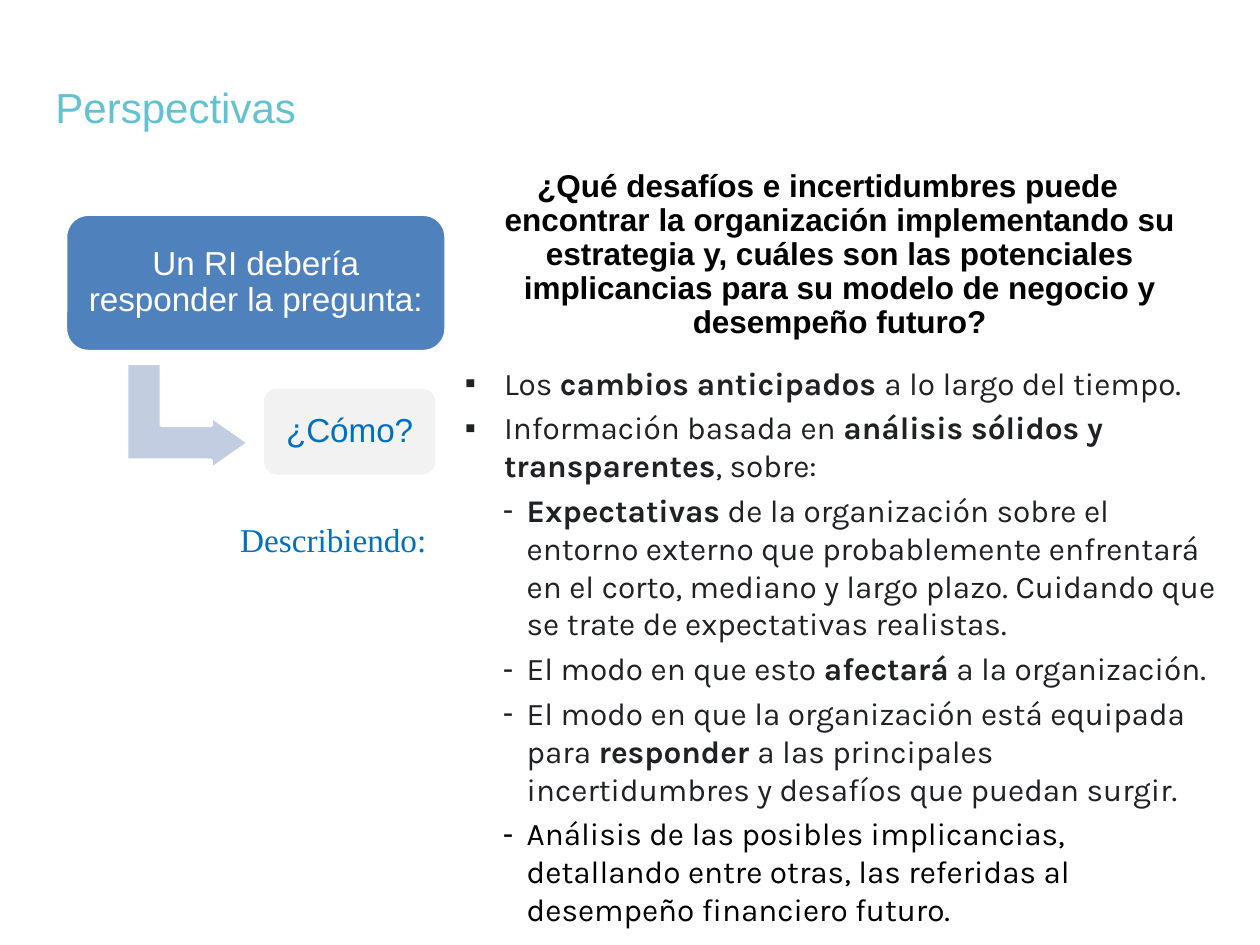
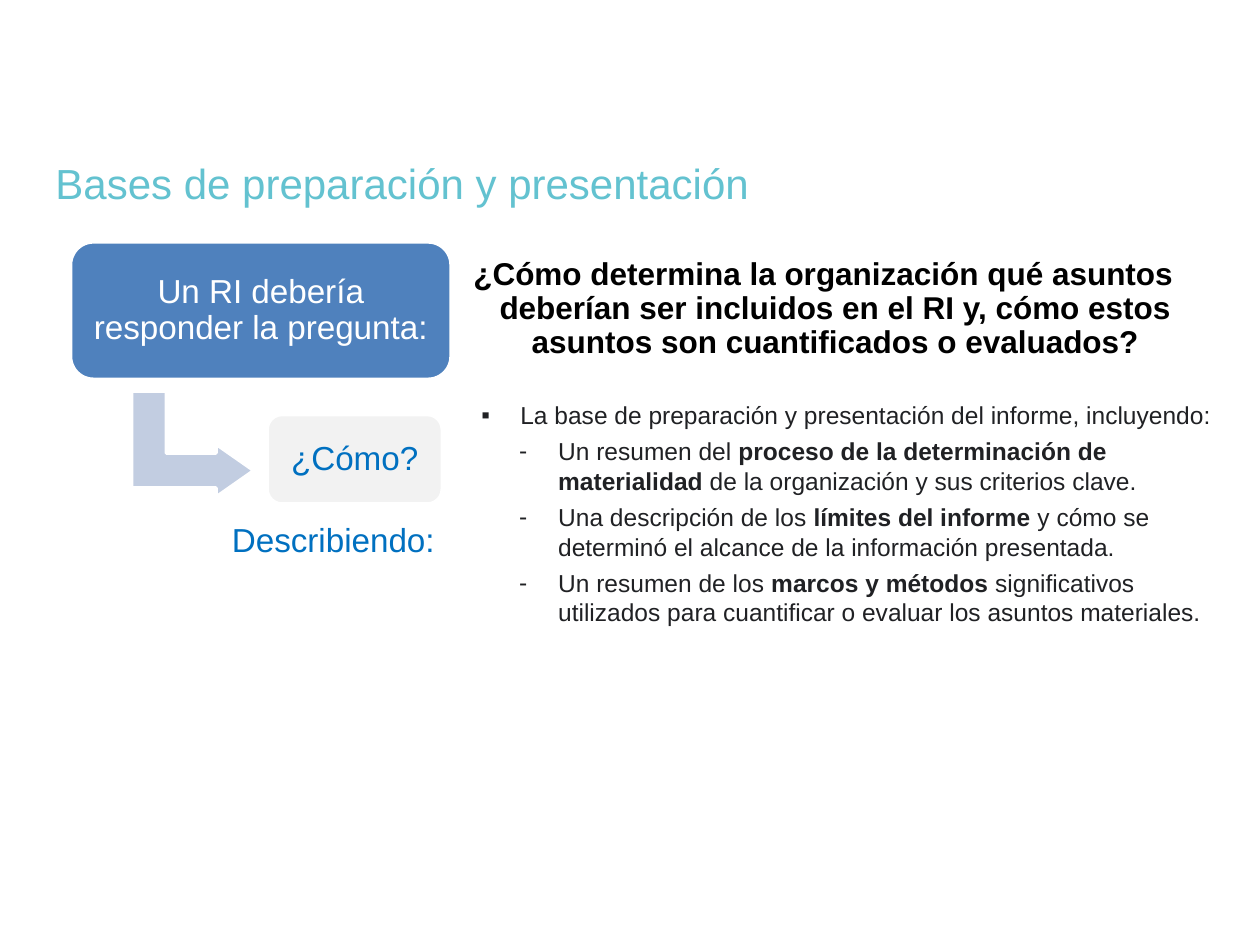
from dataclasses import dataclass

from lxml import etree
from pptx import Presentation
from pptx.dml.color import RGBColor
from pptx.enum.shapes import MSO_SHAPE
from pptx.enum.text import MSO_ANCHOR, MSO_AUTO_SIZE, PP_ALIGN
from pptx.oxml.ns import qn
from pptx.util import Inches, Pt

ROUNDED = MSO_SHAPE.ROUNDED_RECTANGLE
BENT_ARROW = MSO_SHAPE.BENT_UP_ARROW
TOP, MIDDLE = MSO_ANCHOR.TOP, MSO_ANCHOR.MIDDLE
LEFT, CENTER = PP_ALIGN.LEFT, PP_ALIGN.CENTER
NO_FIT = MSO_AUTO_SIZE.NONE


@dataclass(frozen=True)
class Theme:
    title: str = "63C2D0"
    card: str = "4F81BD"
    arrow: str = "C2CDE1"
    pale: str = "F2F2F2"
    accent: str = "0070C0"
    white: str = "FFFFFF"
    black: str = "000000"
    body: str = "202124"
    font: str = "Arial"
    title_size: int = 24
    label_size: int = 19
    question_size: int = 18


THEME = Theme()


# Text helpers
def add_span(para, text, size, color, font=THEME.font, bold=False):
    span = para.add_run()
    span.text = text
    span.font.name = font
    span.font.size = Pt(size)
    span.font.bold = bold
    span.font.color.rgb = RGBColor.from_string(color)


def add_marked_text(para, text, size, color, font):
    """Text between double asterisks becomes bold."""
    for index, part in enumerate(text.split("**")):
        if part:
            add_span(para, part, size, color, font, bold=index % 2 == 1)


def set_frame(frame, inset_x, inset_y, anchor):
    frame.word_wrap = True
    frame.auto_size = NO_FIT
    frame.vertical_anchor = anchor
    frame.margin_left = frame.margin_right = Inches(inset_x)
    frame.margin_top = frame.margin_bottom = Inches(inset_y)


def set_indent(para, margin, hanging):
    properties = para._p.get_or_add_pPr()
    properties.set("marL", str(Inches(margin)))
    properties.set("indent", str(-Inches(hanging)))
    return properties


def place(shape, left, top, width, height):
    shape.left, shape.top = Inches(left), Inches(top)
    shape.width, shape.height = Inches(width), Inches(height)


# Slide elements
def add_title(page, text, top):
    title = page.shapes.title
    place(title, 0.34, top, 9.13, 0.85)
    set_frame(title.text_frame, 0.1, 0.05, TOP)
    para = title.text_frame.paragraphs[0]
    para.alignment = LEFT
    add_span(para, text, THEME.title_size, THEME.title)


def add_block(page, preset, area, fill):
    block = page.shapes.add_shape(preset, *map(Inches, area))
    block.shadow.inherit = False
    block.fill.solid()
    block.fill.fore_color.rgb = RGBColor.from_string(fill)
    block.line.color.rgb = RGBColor.from_string(THEME.white)
    block.line.width = Pt(2)
    return block


def add_card(page, area, fill, text, color):
    card = add_block(page, ROUNDED, area, fill)
    set_frame(card.text_frame, 0.08, 0.08, MIDDLE)
    para = card.text_frame.paragraphs[0]
    para.alignment = CENTER
    para.line_spacing = 0.9
    add_span(para, text, THEME.label_size, color)


def add_diagram(page, left, top):
    arrow = add_block(page, BENT_ARROW, (left + 0.55, top + 1.12, 0.84, 0.97), THEME.arrow)
    arrow.rotation = 90
    for index, value in enumerate((0.328, 0.25, 0.358)):
        arrow.adjustments[index] = value
    add_card(page, (left, top, 3.02, 1.09), THEME.card,
             "Un RI debería responder la pregunta:", THEME.white)
    add_card(page, (left + 1.56, top + 1.37, 1.39, 0.71), THEME.pale,
             "¿Cómo?", THEME.accent)


def add_question(page, area, text):
    box = page.shapes.add_textbox(*map(Inches, area))
    set_frame(box.text_frame, 0.07, 0.07, TOP)
    para = box.text_frame.paragraphs[0]
    para.alignment = CENTER
    para.line_spacing = 0.9
    set_indent(para, 0.19, 0.19)
    add_span(para, text, THEME.question_size, THEME.black, bold=True)


def add_describing_label(page, font):
    box = page.shapes.add_textbox(*map(Inches, (1.72, 4.07, 1.85, 0.42)))
    set_frame(box.text_frame, 0.1, 0.05, TOP)
    para = box.text_frame.paragraphs[0]
    para.alignment = CENTER
    add_span(para, "Describiendo:", THEME.label_size, THEME.accent, font)


def add_list(page, area, items, size, font, dash_indent):
    """Items are (bullet, text, colour); dash_indent is (margin, hanging)."""
    body = page.placeholders[1]
    place(body, *area)
    frame = body.text_frame
    set_frame(frame, 0, 0, MIDDLE)
    for index, (bullet, text, color) in enumerate(items):
        para = frame.add_paragraph() if index else frame.paragraphs[0]
        para.alignment = LEFT
        para.space_before = Pt(4 if index else 0)
        indent = dash_indent if bullet == "-" else (0.31, 0.31)
        properties = set_indent(para, *indent)
        etree.SubElement(properties, qn("a:buChar")).set("char", bullet)
        add_marked_text(para, text, size, color, font)
    return frame


def add_page(deck, title, title_top, diagram_at):
    page = deck.slides.add_slide(deck.slide_layouts[1])
    add_title(page, title, title_top)
    add_diagram(page, *diagram_at)
    return page


# Slides
def build_outlook(deck):
    page = add_page(deck, "Perspectivas", 0.6, (0.52, 1.7))
    add_question(
        page, (3.62, 1.28, 5.9, 1.5),
        "¿Qué desafíos e incertidumbres puede encontrar la organización "
        "implementando su estrategia y, cuáles son las potenciales "
        "implicancias para su modelo de negocio y desempeño futuro?")
    items = [
        ("▪", "Los **cambios anticipados **a lo largo del tiempo.", THEME.body),
        ("▪", "Información basada en **análisis sólidos y transparentes**, sobre:",
         THEME.body),
        ("-", "**Expectativas** de la organización sobre el entorno externo que "
              "probablemente enfrentará en el corto, mediano y largo plazo. "
              "Cuidando que se trate de expectativas realistas.", THEME.body),
        ("-", "El modo en que esto **afectará** a la organización.", THEME.body),
        ("-", "El modo en que la organización está equipada para **responder **"
              "a las principales incertidumbres y desafíos que puedan surgir.",
         THEME.body),
        ("-", "Análisis de las posibles implicancias, detallando entre otras, "
              "las referidas al desempeño financiero futuro.", THEME.black),
    ]
    add_list(page, (3.69, 2.88, 6.02, 4.49), items, 18, "Karla", (0.49, 0.19))
    add_describing_label(page, "Times New Roman")


def build_preparation(deck):
    page = add_page(deck, "Bases de preparación y presentación", 1.2, (0.56, 1.92))
    add_question(
        page, (3.67, 1.98, 5.73, 1),
        "¿Cómo determina la organización qué asuntos deberían ser incluidos "
        "en el RI y, cómo estos asuntos son cuantificados o evaluados?")
    items = [
        ("▪", "La base de preparación y presentación del informe, incluyendo:",
         THEME.body),
        ("-", "Un resumen del **proceso de la determinación de materialidad **"
              "de la organización y sus criterios clave.", THEME.body),
        ("-", "Una descripción de los **límites del informe **y cómo se determinó "
              "el alcance de la información presentada.", THEME.body),
        ("-", "Un resumen de los **marcos y métodos **significativos utilizados "
              "para cuantificar o evaluar los asuntos materiales.", THEME.body),
    ]
    add_list(page, (3.82, 3.18, 6.02, 1.79), items, 14, THEME.font, (0.61, 0.31))
    add_describing_label(page, THEME.font)


def main():
    deck = Presentation()
    deck.slide_width, deck.slide_height = Inches(10), Inches(7.5)
    build_outlook(deck)
    build_preparation(deck)
    deck.save("out.pptx")


if __name__ == "__main__":
    main()
